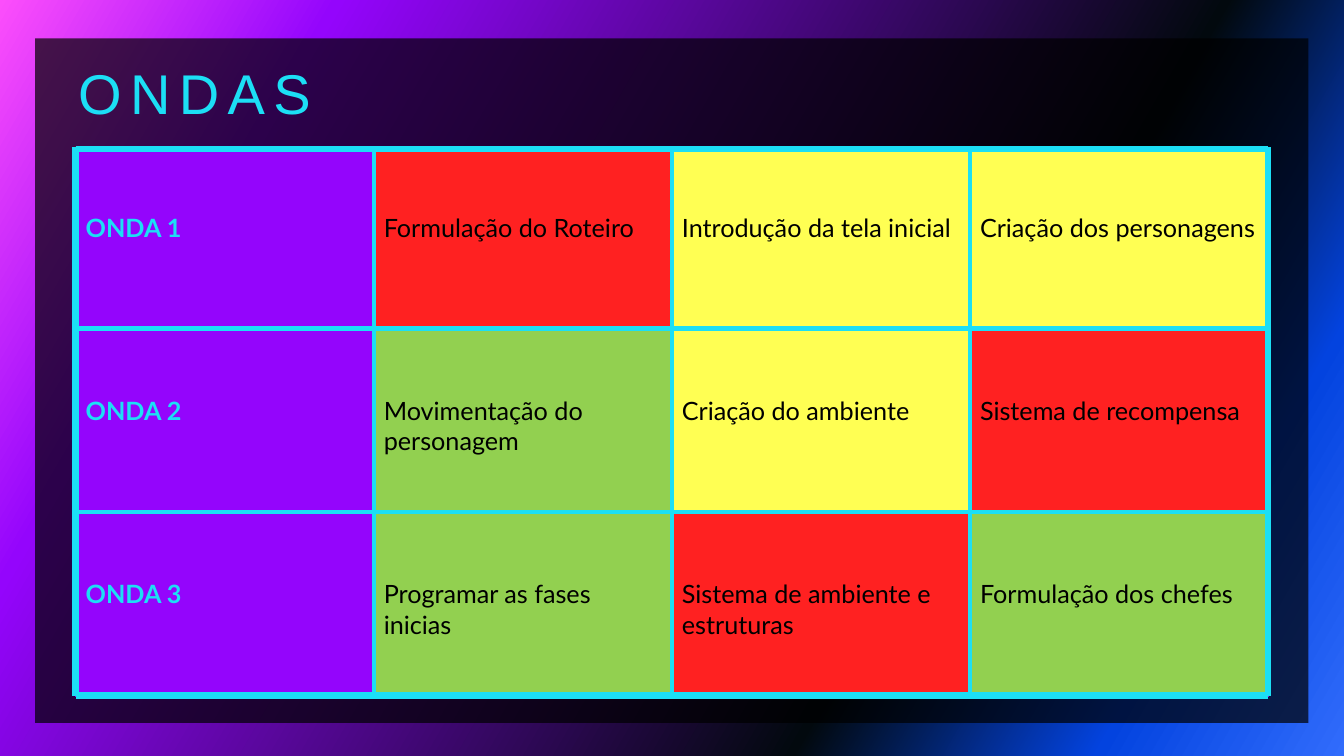
from collections import namedtuple

from lxml import etree
from pptx import Presentation
from pptx.dml.color import RGBColor
from pptx.enum.shapes import MSO_CONNECTOR, MSO_SHAPE
from pptx.enum.text import MSO_ANCHOR, PP_ALIGN
from pptx.oxml.ns import qn
from pptx.util import Pt

STRAIGHT = MSO_CONNECTOR.STRAIGHT
RECTANGLE = MSO_SHAPE.RECTANGLE
MIDDLE = MSO_ANCHOR.MIDDLE
CENTER = PP_ALIGN.CENTER

BLACK = RGBColor(0x00, 0x00, 0x00)
CYAN = RGBColor(0x1C, 0xDF, 0xF5)
PURPLE = RGBColor(0x94, 0x05, 0xFC)
RED = RGBColor(0xFF, 0x21, 0x21)
YELLOW = RGBColor(0xFF, 0xFF, 0x53)
GREEN = RGBColor(0x92, 0xD0, 0x50)
BRIGHT_BLUE = RGBColor(0x31, 0x6C, 0xFC)
BLUE = RGBColor(0x03, 0x43, 0xDF)
NIGHT = RGBColor(0x02, 0x09, 0x0E)
PINK = RGBColor(0xFC, 0x4E, 0xFB)

Box = namedtuple("Box", "left top width height")
PANEL_BOX = Box(25.2, 27.4, 909.4, 488.9)
TITLE_BOX = Box(43.2, 42.5, 191.5, 46.8)
TABLE_BOX = Box(54, 105.1, 851.8, 392.4)

BACKGROUND_STOPS = [(0, BRIGHT_BLUE), (14, BLUE), (31, NIGHT), (81, PURPLE), (100, PINK)]
WAVES = [
    [("ONDA 1", PURPLE), ("Formulação do Roteiro", RED),
     ("Introdução da tela inicial", YELLOW), ("Criação dos personagens", YELLOW)],
    [("ONDA 2", PURPLE), ("Movimentação do personagem", GREEN),
     ("Criação do ambiente", YELLOW), ("Sistema de recompensa", RED)],
    [("ONDA 3", PURPLE), ("Programar as fases inicias", GREEN),
     ("Sistema de ambiente e estruturas", RED), ("Formulação dos chefes", GREEN)],
]
ROW_LINE_OFFSETS = [1.4, 129.6, 260.6, 391.7]
TITLE_FORMAT = {"name": "Arial", "size": Pt(40), "bold": False}
HEADER_FORMAT = {"name": "Lato", "size": Pt(18), "bold": True}
TASK_FORMAT = {"name": "Lato", "size": Pt(18), "bold": False}
CELL_FORMAT = {"margin_left": Pt(7.2), "margin_right": Pt(7.2),
               "margin_top": Pt(46.8), "margin_bottom": Pt(3.6)}


def apply_format(target, values):
    """Set each attribute named in values on the target."""
    for name, value in values.items():
        setattr(target, name, value)


def in_points(box):
    """Return the four lengths of a box as Pt values."""
    return [Pt(length) for length in box]


def add_color(parent, color):
    """Append a solid colour element and return it."""
    return etree.SubElement(parent, qn("a:srgbClr"), val=str(color))


def paint_background(slide):
    """Fill the slide with the diagonal neon gradient."""
    fill = slide.background.fill
    fill.gradient()
    fill.gradient_angle = 150
    stops = slide.element.find(".//" + qn("a:gsLst"))
    for stop in list(stops):
        stops.remove(stop)
    for percent, color in BACKGROUND_STOPS:
        add_color(etree.SubElement(stops, qn("a:gs"), pos=str(percent * 1000)), color)


def add_panel(slide, box):
    """Add the translucent black panel behind the content."""
    panel = slide.shapes.add_shape(RECTANGLE, *in_points(box))
    panel.shadow.inherit = False
    panel.line.fill.background()
    panel.fill.solid()
    panel.fill.fore_color.rgb = BLACK
    color = panel.element.spPr.find(qn("a:solidFill")).find(qn("a:srgbClr"))
    etree.SubElement(color, qn("a:alpha"), val="70000")


def place_title(slide, box):
    """Move the title placeholder to its box and format its text."""
    title = slide.shapes.title
    apply_format(title, dict(zip(Box._fields, in_points(box))))
    frame = title.text_frame
    frame.text = "ONDAS"
    apply_format(frame, {"word_wrap": False, "vertical_anchor": MIDDLE,
                         "margin_top": 0, "margin_bottom": 0})
    para = frame.paragraphs[0]
    para.alignment = CENTER
    span = para.runs[0]
    apply_format(span.font, TITLE_FORMAT)
    span.font.color.rgb = CYAN
    span.font._element.set("spc", "600")


def set_borders(cell, is_header):
    """Give a cell thin purple borders, wider to the right of a header."""
    properties = cell._tc.get_or_add_tcPr()
    for side in "LRTB":
        width = Pt(1) if is_header and side == "R" else Pt(0.5)
        border = etree.SubElement(properties, qn("a:ln" + side), w=str(width))
        add_color(etree.SubElement(border, qn("a:solidFill")), PURPLE)


def fill_cell(cell, text, color, is_header):
    """Write one cell with its borders, fill and font."""
    set_borders(cell, is_header)
    cell.fill.solid()
    cell.fill.fore_color.rgb = color
    apply_format(cell, CELL_FORMAT)
    cell.text = text
    font = cell.text_frame.paragraphs[0].runs[0].font
    apply_format(font, HEADER_FORMAT if is_header else TASK_FORMAT)
    font.color.rgb = CYAN if is_header else BLACK


def add_wave_table(slide, box):
    """Add the table of waves and their tasks."""
    table = slide.shapes.add_table(len(WAVES), len(WAVES[0]), *in_points(box)).table
    apply_format(table, {"first_row": False, "horz_banding": False})
    for row, wave in enumerate(WAVES):
        for column, (text, color) in enumerate(wave):
            fill_cell(table.cell(row, column), text, color, column == 0)


def add_line(slide, start, end, width):
    """Draw one cyan line between two points."""
    line = slide.shapes.add_connector(STRAIGHT, *in_points(start + end))
    line.line.color.rgb = CYAN
    line.line.width = Pt(width)
    etree.SubElement(line.element.spPr, qn("a:effectLst"))


def add_grid_lines(slide, box):
    """Draw the cyan grid over the table, thicker on its outer edges."""
    right, bottom = box.left + box.width, box.top + box.height
    columns = len(WAVES[0])
    for index in range(columns + 1):
        x = box.left + box.width * index / columns
        add_line(slide, (x, box.top), (x, bottom), 4.5 if index in (0, columns) else 3)
    for index, offset in enumerate(ROW_LINE_OFFSETS):
        y = box.top + offset
        add_line(slide, (box.left, y), (right, y), 4.5 if index in (0, len(WAVES)) else 3)


def build_waves_slide(deck):
    """Build the slide from its background, panel, title and table."""
    slide = deck.slides.add_slide(deck.slide_layouts[5])
    paint_background(slide)
    add_panel(slide, PANEL_BOX)
    title = slide.shapes.title.element
    title.getparent().append(title)
    place_title(slide, TITLE_BOX)
    add_wave_table(slide, TABLE_BOX)
    add_grid_lines(slide, TABLE_BOX)


def main():
    """Create the deck and save it."""
    deck = Presentation()
    deck.slide_width, deck.slide_height = Pt(960), Pt(540)
    build_waves_slide(deck)
    deck.save("out.pptx")


if __name__ == "__main__":
    main()
